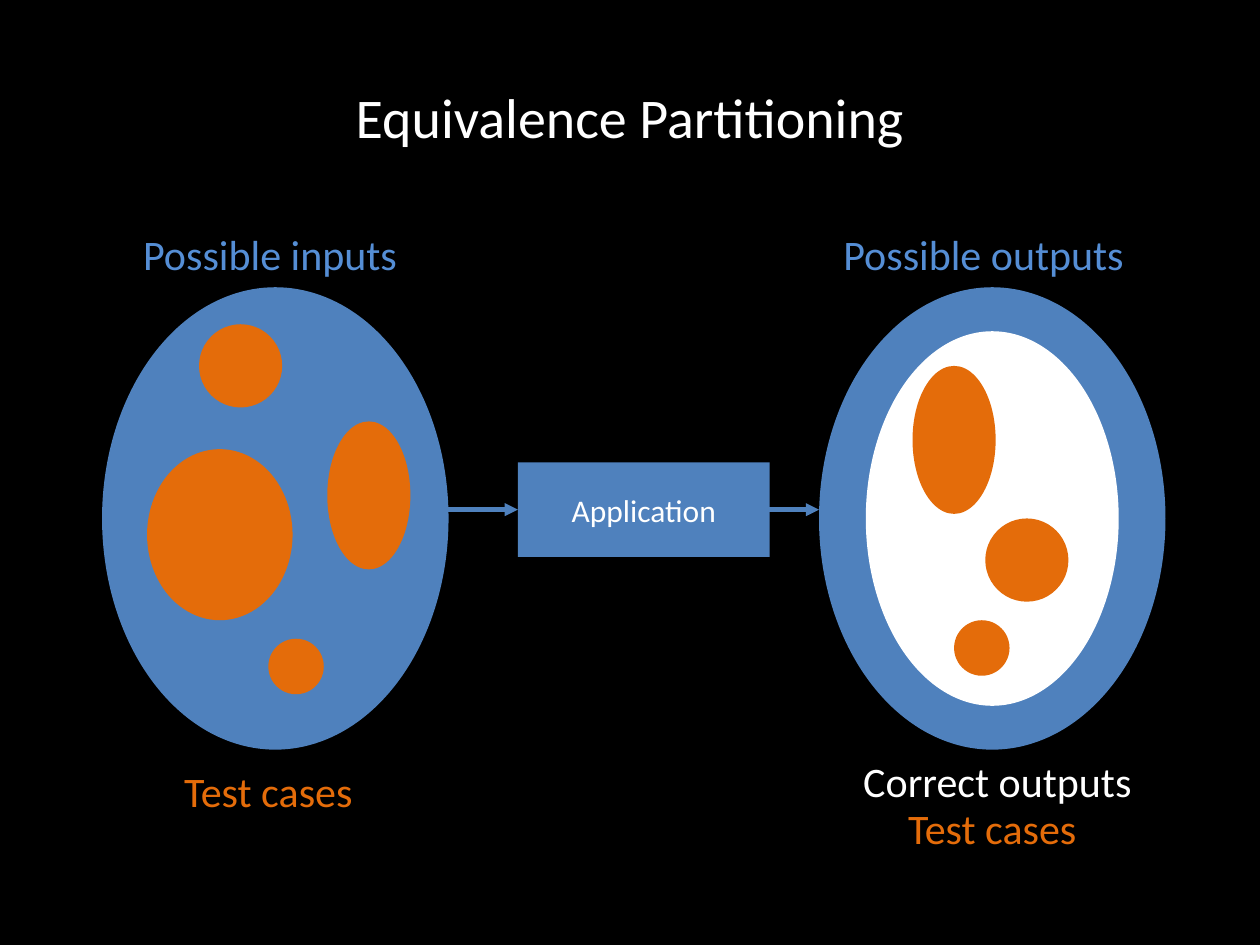
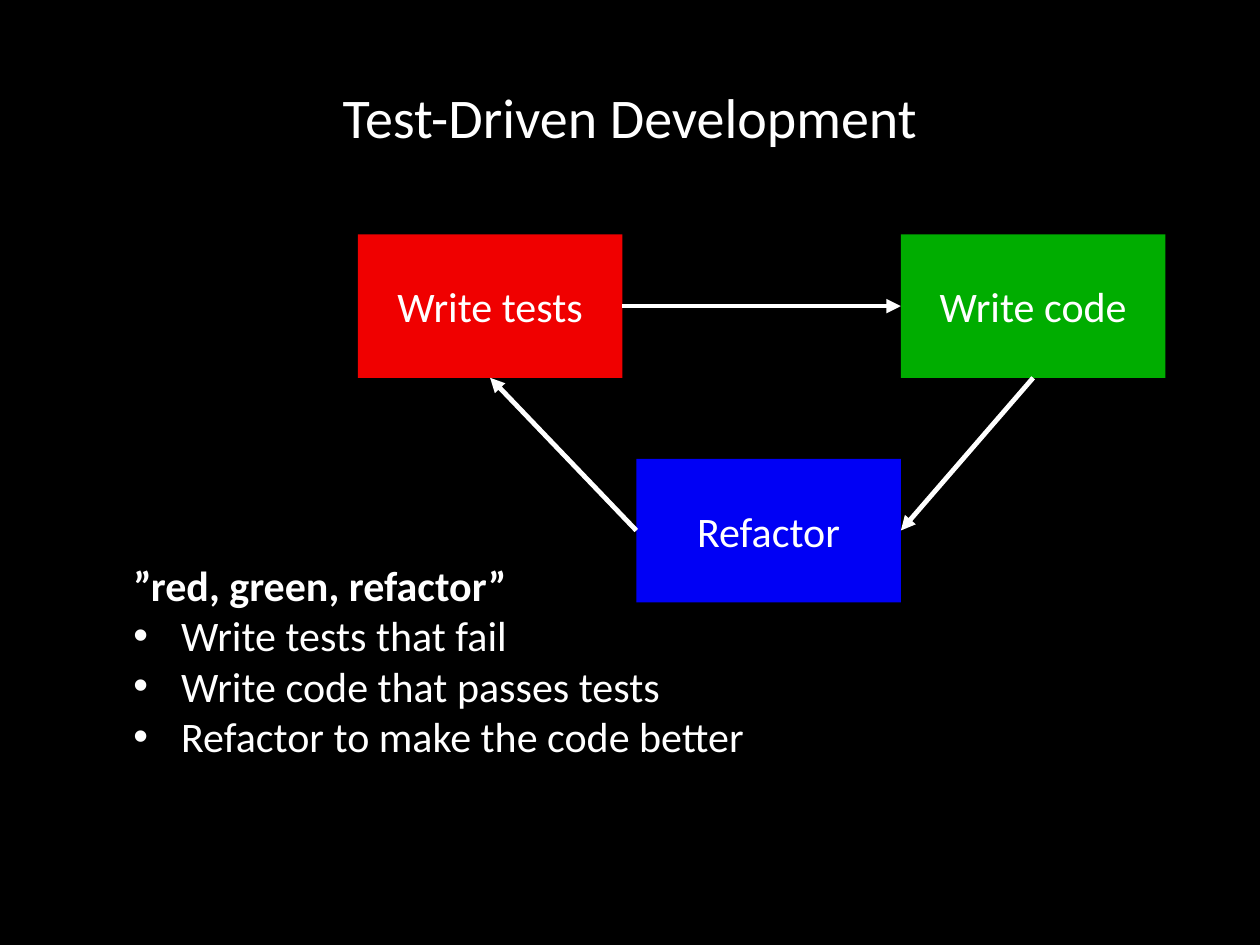
from lxml import etree
from pptx import Presentation
from pptx.dml.color import RGBColor
from pptx.enum.shapes import MSO_CONNECTOR, MSO_SHAPE
from pptx.enum.text import MSO_ANCHOR, MSO_AUTO_SIZE, PP_ALIGN
from pptx.oxml.ns import qn
from pptx.util import Inches, Pt

OVAL, RECT = MSO_SHAPE.OVAL, MSO_SHAPE.RECTANGLE
LINE = MSO_CONNECTOR.STRAIGHT
LEFT, CENTER = PP_ALIGN.LEFT, PP_ALIGN.CENTER
TOP, MIDDLE = MSO_ANCHOR.TOP, MSO_ANCHOR.MIDDLE
GROW = MSO_AUTO_SIZE.SHAPE_TO_FIT_TEXT

# Shared look
WIDE, HIGH = 10, 7.5
PAGE = (0, 0, WIDE, HIGH)
FONT = "Calibri"
BLACK, WHITE = "000000", "FFFFFF"
BLUE, SKY, ORANGE = "4F81BD", "558ED5", "E46C0A"
RED, GREEN, DEEP = "F00000", "00AD00", "0000F5"

# Sizes of test-case spots, as shares of their set
SMALL, ROUND, TALL, BIG = (.16, .12), (.24, .18), (.24, .32), (.42, .37)


def color(code):
    return RGBColor.from_string(code)


def part(box, x, y, w, h):
    """Box at the given shares of another box."""
    left, top, wide, high = box
    return left + x * wide, top + y * high, w * wide, h * high


def inch(box):
    return [Inches(v) for v in box]


def write(frame, *lines, size=24, ink=WHITE, align=CENTER, anchor=MIDDLE,
          head=False, bullet=None):
    """Fill a frame; head makes line one bold, bullet marks the others."""
    frame.vertical_anchor = anchor
    for i, line in enumerate(lines):
        para = frame.paragraphs[0] if i == 0 else frame.add_paragraph()
        para.alignment = align
        run = para.add_run()
        run.text = line
        font = run.font
        font.name, font.size, font.bold = FONT, Pt(size), head and i == 0
        font.color.rgb = color(ink)
        if bullet and i:
            props = para._p.get_or_add_pPr()
            props.set("marL", str(Inches(.38)))
            props.set("indent", str(-Inches(.38)))
            etree.SubElement(props, qn("a:buFont")).set("typeface", "Arial")
            etree.SubElement(props, qn("a:buChar")).set("char", bullet)


def label(slide, box, *lines, **style):
    item = slide.shapes.add_textbox(*inch(box))
    item.text_frame.word_wrap = False
    item.text_frame.auto_size = GROW
    write(item.text_frame, *lines, anchor=TOP, **style)


def block(slide, kind, box, fill, text=None, **style):
    item = slide.shapes.add_shape(kind, *inch(box))
    item.shadow.inherit = False
    item.fill.solid()
    item.fill.fore_color.rgb = color(fill)
    item.line.fill.background()
    if text:
        write(item.text_frame, text, **style)
    return item


def arrow(slide, start, end, ink, width):
    item = slide.shapes.add_connector(LINE, *inch(start + end))
    item.line.color.rgb = color(ink)
    item.line.width = Pt(width)
    tip = etree.SubElement(item.line._get_or_add_ln(), qn("a:tailEnd"))
    tip.set("type", "triangle")
    etree.SubElement(item._element.spPr, qn("a:effectLst"))
    return item


def start(deck, title):
    """New slide with its title placed."""
    slide = deck.slides.add_slide(deck.slide_layouts[5])
    head = slide.shapes.title
    head.left, head.top, head.width, head.height = inch(
        part(PAGE, .05, .04, .9, 1 / 6))
    write(head.text_frame, title, size=32)
    return slide


def group(slide, box, spots, labels, core=None):
    """Oval set with an optional centred core, spots and labels."""
    block(slide, OVAL, box, BLUE)
    if core:
        w, h = core
        block(slide, OVAL, part(box, (1 - w) / 2, (1 - h) / 2, w, h), WHITE)
    for x, y, size in spots:
        block(slide, OVAL, part(box, x, y, *size), ORANGE)
    for text, x, y, w, ink in labels:
        label(slide, part(box, x, y, w, .14), text, ink=ink)


def flow(slide, left, right, app):
    """Inputs pass through the application to outputs."""
    group(slide, left,
          [(.28, .08, ROUND), (.65, .29, TALL),
           (.48, .76, SMALL), (.13, .35, BIG)],
          [("Possible inputs", .08, -.14, .81, SKY),
           ("Test cases", .2, 1.02, .56, ORANGE)])
    group(slide, right,
          [(.27, .17, TALL), (.48, .5, ROUND), (.39, .72, SMALL)],
          [("Possible outputs", .03, -.14, .89, SKY),
           ("Test cases", .22, 1.1, .56, ORANGE),
           ("Correct outputs", .09, 1, .85, WHITE)],
          core=(.73, .81))
    block(slide, RECT, app, BLUE, "Application", size=18)
    mid = app[1] + app[3] / 2
    for source, goal in ((left, app), (app, right)):
        edge = source[0] + source[2] * .96
        arrow(slide, (edge, mid), (goal[0], mid), BLUE, 2.5)


def cycle(slide, box):
    """Three steps joined in a ring."""
    w, h = .21 * WIDE / box[2], .39
    steps = [("Write tests", 0, 0, RED),
             ("Write code", 1 - w, 0, GREEN),
             ("Refactor", 1 - 2 * w, 1 - h, DEEP)]
    nodes = [block(slide, RECT, part(box, x, y, w, h), fill, text)
             for text, x, y, fill in steps]
    # Sites of a rectangle: 0 top, 1 left, 2 bottom, 3 right
    for i, (out, into) in enumerate([(3, 1), (2, 3), (1, 2)]):
        link = arrow(slide, (0, 0), (1, 1), WHITE, 2.75)
        link.begin_connect(nodes[i], out)
        link.end_connect(nodes[(i + 1) % 3], into)


deck = Presentation()
deck.slide_width, deck.slide_height = Inches(WIDE), Inches(HIGH)
back = deck.slide_master.background.fill
back.solid()
back.fore_color.rgb = color(BLACK)

# Slide 1: partitions
slide = start(deck, "Equivalence Partitioning")
flow(slide, (.81, 2.28, 2.75, 3.67), (6.5, 2.28, 2.75, 3.67),
     (4.11, 3.67, 2, .75))

# Slide 2: test-first cycle
slide = start(deck, "Test-Driven Development")
cycle(slide, (2.84, 1.86, 6.41, 2.92))
label(slide, (.96, 4.39, 5.09, 1.72), "”red, green, refactor”",
      "Write tests that fail", "Write code that passes tests",
      "Refactor to make the code better",
      align=LEFT, head=True, bullet="•")

deck.save("out.pptx")
